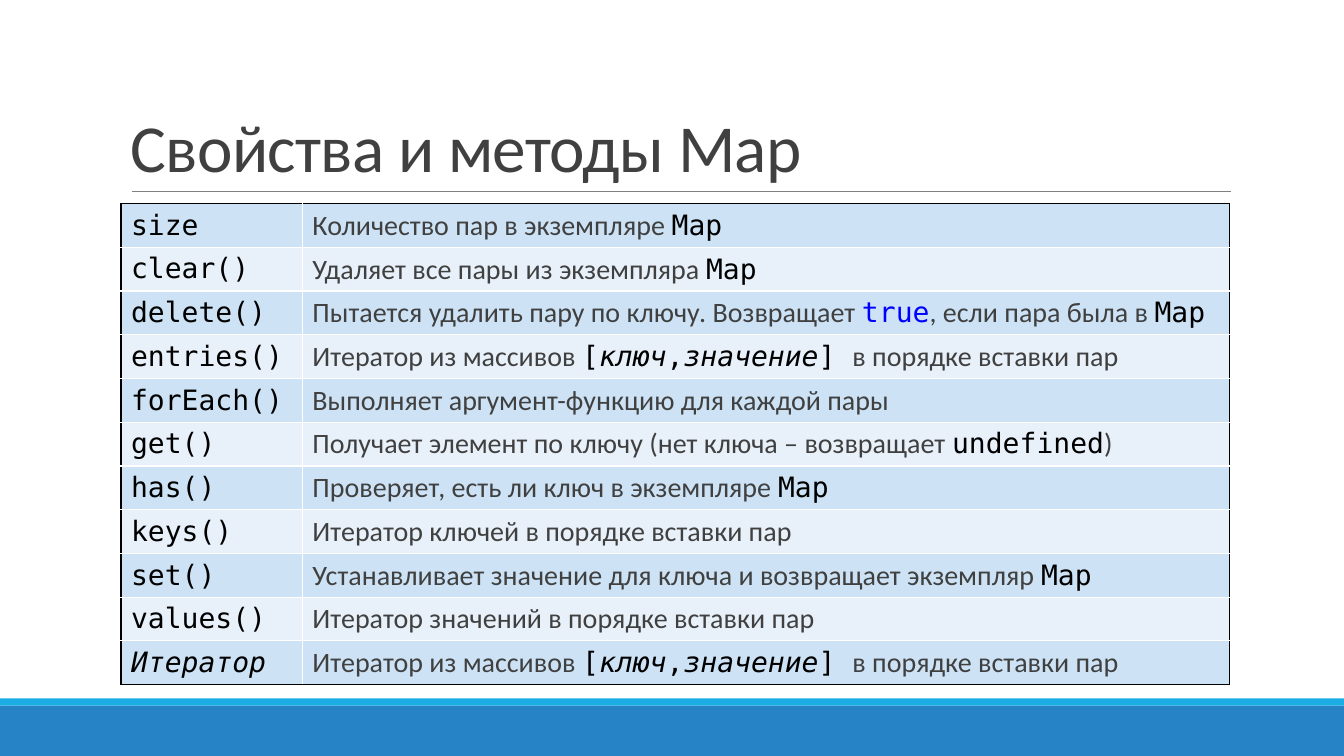
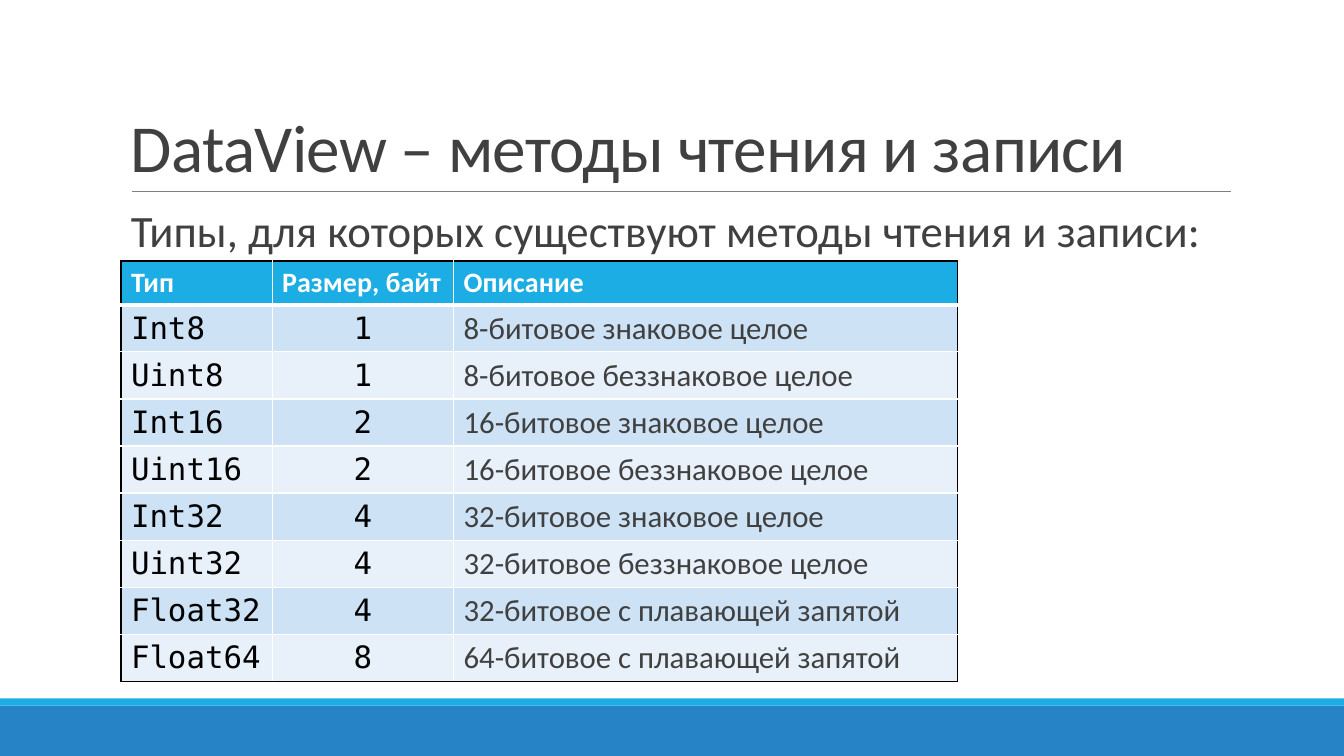
from dataclasses import dataclass

from lxml import etree
from pptx import Presentation
from pptx.dml.color import RGBColor
from pptx.enum.shapes import MSO_CONNECTOR, MSO_SHAPE
from pptx.enum.text import MSO_ANCHOR, PP_ALIGN
from pptx.oxml.ns import qn
from pptx.util import Pt

RECT = MSO_SHAPE.RECTANGLE
STRAIGHT = MSO_CONNECTOR.STRAIGHT
TOP, MIDDLE, BOTTOM = MSO_ANCHOR.TOP, MSO_ANCHOR.MIDDLE, MSO_ANCHOR.BOTTOM
LEFT, CENTER = PP_ALIGN.LEFT, PP_ALIGN.CENTER


@dataclass(frozen=True)
class Theme:
    accent: str = "1CADE4"
    band: str = "2683C6"
    row_dark: str = "CDE3F5"
    row_light: str = "E8F1FA"
    text: str = "404040"
    rule: str = "808080"
    black: str = "000000"
    white: str = "FFFFFF"
    keyword: str = "0000FF"
    body_font: str = "Calibri"
    code_font: str = "DejaVu Sans Mono"
    title_size: float = 48
    lead_size: float = 32
    cell_size: float = 20
    type_size: float = 22


T = Theme()

# Text styles: font, colour, bold, italic
STYLES = {
    "text": (T.body_font, T.text, False, False),
    "head": (T.body_font, T.white, True, False),
    "code": (T.code_font, T.black, False, False),
    "var": (T.code_font, T.black, False, True),
    "keyword": (T.code_font, T.keyword, False, False),
}

# Content: a cell is a list of (style, text) pieces
MAP = ("code", "Map")
ENTRIES = [
    ("text", "Итератор из массивов "), ("code", "["), ("var", "ключ"),
    ("code", ","), ("var", "значение"), ("code", "] "),
    ("text", "в порядке вставки пар"),
]
MAP_TITLE = "Свойства и методы Map"
MAP_MEMBERS = [
    (("code", "size"), [("text", "Количество пар в экземпляре "), MAP]),
    (("code", "clear()"), [("text", "Удаляет все пары из экземпляра "), MAP]),
    (("code", "delete()"), [
        ("text", "Пытается удалить пару по ключу. Возвращает "),
        ("keyword", "true"), ("text", ", если пара была в "), MAP]),
    (("code", "entries()"), ENTRIES),
    (("code", "forEach()"),
     [("text", "Выполняет аргумент-функцию для каждой пары")]),
    (("code", "get()"), [
        ("text", "Получает элемент по ключу (нет ключа – возвращает "),
        ("code", "undefined"), ("text", ")")]),
    (("code", "has()"),
     [("text", "Проверяет, есть ли ключ в экземпляре "), MAP]),
    (("code", "keys()"), [("text", "Итератор ключей в порядке вставки пар")]),
    (("code", "set()"), [
        ("text", "Устанавливает значение для ключа и возвращает экземпляр "),
        MAP]),
    (("code", "values()"),
     [("text", "Итератор значений в порядке вставки пар")]),
    (("var", "Итератор"), ENTRIES),
]

VIEW_TITLE = "DataView – методы чтения и записи"
VIEW_LEAD = "Типы, для которых существуют методы чтения и записи:"
VIEW_HEAD = ["Тип", "Размер, байт", "Описание"]
VIEW_TYPES = [
    ("Int8", "1", "8-битовое знаковое целое"),
    ("Uint8", "1", "8-битовое беззнаковое целое"),
    ("Int16", "2", "16-битовое знаковое целое"),
    ("Uint16", "2", "16-битовое беззнаковое целое"),
    ("Int32", "4", "32-битовое знаковое целое"),
    ("Uint32", "4", "32-битовое беззнаковое целое"),
    ("Float32", "4", "32-битовое с плавающей запятой"),
    ("Float64", "8", "64-битовое с плавающей запятой"),
]

# Layout, in points
SLIDE_W, SLIDE_H = 960, 540
MARGIN, CONTENT_W = 86.4, 792
TITLE_TOP, RULE_Y, BODY_TOP = 22.3, 136.8, 145.4
RULE_LEFT, RULE_RIGHT = 94.3, 879.1
BAND_H, STRIPE_H = 36, 5.05
ROW_H, TYPE_ROW_H = 31.2, 33.6


def rgb(value):
    return RGBColor.from_string(value)


def style_font(font, style):
    name, color, bold, italic = STYLES[style]
    font.name, font.bold, font.italic = name, bold, italic
    font.color.rgb = rgb(color)


def write(p, pieces, size, align=LEFT):
    p.alignment = align
    p.font.size = Pt(size)
    if len(pieces) == 1:
        style_font(p.font, pieces[0][0])
    for style, text in pieces:
        r = p.add_run()
        r.text = text
        if len(pieces) > 1:
            style_font(r.font, style)


def add_text(slide, text, size, top, height, anchor, spacing, inset=7.2):
    sp = slide.shapes.add_textbox(Pt(MARGIN), Pt(top), Pt(CONTENT_W), Pt(height))
    tf = sp.text_frame
    tf.word_wrap = True
    tf.vertical_anchor = anchor
    tf.margin_left, tf.margin_right = Pt(7.2), Pt(inset)
    p = tf.paragraphs[0]
    p.line_spacing = spacing
    write(p, [("text", text)], size)
    return p


def add_base(prs, title):
    """Slide with bands, rule and title."""
    slide = prs.slides.add_slide(prs.slide_layouts[6])
    band_top = SLIDE_H - BAND_H
    for top, height, color in [(band_top, BAND_H, T.band),
                               (band_top - STRIPE_H, STRIPE_H, T.accent)]:
        sp = slide.shapes.add_shape(RECT, 0, Pt(top), Pt(SLIDE_W), Pt(height))
        sp.shadow.inherit = False
        sp.fill.solid()
        sp.fill.fore_color.rgb = rgb(color)
        sp.line.fill.background()
    rule = slide.shapes.add_connector(
        STRAIGHT, Pt(RULE_LEFT), Pt(RULE_Y), Pt(RULE_RIGHT), Pt(RULE_Y))
    rule.line.color.rgb = rgb(T.rule)
    rule.line.width = Pt(0.5)
    etree.SubElement(rule._element.spPr, qn("a:effectLst"))
    p = add_text(slide, title, T.title_size, TITLE_TOP, RULE_Y - TITLE_TOP,
                 BOTTOM, 0.85)
    p.runs[0]._r.get_or_add_rPr().set("spc", "-50")
    return slide


def set_border(cell, side, color, width):
    ln = etree.SubElement(cell._tc.get_or_add_tcPr(), qn("a:ln" + side),
                          w=str(Pt(width)))
    fill = etree.SubElement(ln, qn("a:solidFill"))
    etree.SubElement(fill, qn("a:srgbClr"), val=color)


def add_table(slide, rows, top, widths, heights, sizes, aligns, header=False):
    """Banded table: black frame, white inner lines, optional header row."""
    last_row, last_col = len(rows) - 1, len(widths) - 1
    table = slide.shapes.add_table(
        len(rows), len(widths), Pt(MARGIN), Pt(top),
        Pt(sum(widths)), Pt(sum(heights))).table
    table.first_row = header
    table.horz_banding = False
    for column, width in zip(table.columns, widths):
        column.width = Pt(width)
    for i, row in enumerate(rows):
        table.rows[i].height = Pt(heights[i])
        is_head = header and i == 0
        band = T.row_dark if (i - header) % 2 == 0 else T.row_light
        for j, pieces in enumerate(row):
            cell = table.cell(i, j)
            cell.vertical_anchor = MIDDLE
            edges = {"L": j == 0, "R": j == last_col,
                     "T": i == 0, "B": i == last_row}
            for side, outer in edges.items():
                under_head = header and (i, side) in ((0, "B"), (1, "T"))
                set_border(cell, side, T.black if outer else T.white,
                           3 if under_head else 1)
            cell.fill.solid()
            cell.fill.fore_color.rgb = rgb(T.accent if is_head else band)
            write(cell.text_frame.paragraphs[0], pieces, sizes[i],
                  LEFT if is_head else aligns[j])


def build_map(prs):
    slide = add_base(prs, MAP_TITLE)
    rows = [([name], description) for name, description in MAP_MEMBERS]
    n = len(rows)
    add_table(slide, rows, BODY_TOP, [129.6, 662.4], [ROW_H] * n,
              [T.cell_size] * n, [LEFT, LEFT])


def build_view(prs):
    slide = add_base(prs, VIEW_TITLE)
    add_text(slide, VIEW_LEAD, T.lead_size, BODY_TOP, 42, TOP, 0.9, inset=0)
    styles = ["code", "code", "text"]
    rows = [[[("head", text)] for text in VIEW_HEAD]]
    rows += [[[piece] for piece in zip(styles, row)] for row in VIEW_TYPES]
    n = len(VIEW_TYPES)
    add_table(slide, rows, 186.5, [108, 129.6, 360],
              [ROW_H] + [TYPE_ROW_H] * n, [T.cell_size] + [T.type_size] * n,
              [LEFT, CENTER, LEFT], header=True)


def main():
    prs = Presentation()
    prs.slide_width, prs.slide_height = Pt(SLIDE_W), Pt(SLIDE_H)
    build_map(prs)
    build_view(prs)
    prs.save("out.pptx")


if __name__ == "__main__":
    main()
